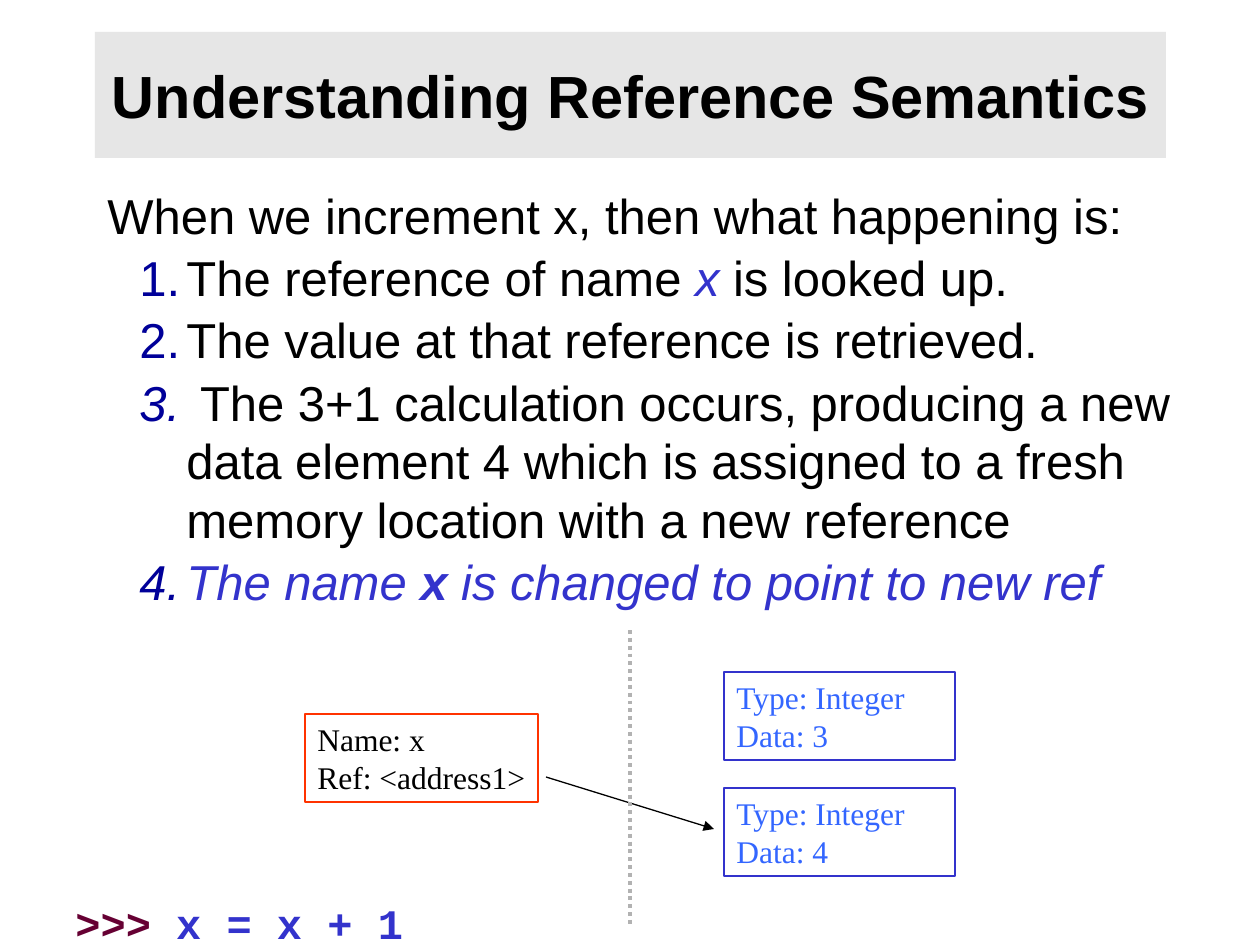
"""Builds the slide that explains what happens to references when x is incremented."""
from lxml.etree import SubElement
from pptx import Presentation
from pptx.dml.color import RGBColor
from pptx.enum.dml import MSO_LINE
from pptx.enum.shapes import MSO_CONNECTOR, MSO_SHAPE
from pptx.enum.text import MSO_ANCHOR, PP_ALIGN
from pptx.oxml.ns import qn
from pptx.util import Emu, Pt

SCALE = 914400 / 126
COLORS = {
    "banner": "E6E6E6",
    "text": "000000",
    "number": "000099",
    "accent": "3333CC",
    "object": "3366FF",
    "name": "FF3300",
    "divider": "B2B2B2",
    "prompt": "660033",
}


def px(*lengths):
    return [Emu(round(length * SCALE)) for length in lengths]


def add_run(para, text, font, size, color, bold=False, italic=False):
    span = para.add_run()
    span.text = text
    span.font.name = font
    span.font.size = Pt(size)
    span.font.bold = bold
    span.font.italic = italic
    span.font.color.rgb = RGBColor.from_string(COLORS[color])


deck = Presentation()
deck.slide_width, deck.slide_height = px(1260, 945)
page = deck.slides.add_slide(deck.slide_layouts[6])

banner = page.shapes.add_shape(MSO_SHAPE.RECTANGLE, *px(95, 32, 1071, 126))
banner.shadow.inherit = False
banner.fill.solid()
banner.fill.fore_color.rgb = RGBColor.from_string(COLORS["banner"])
banner.line.fill.background()
banner.text_frame.word_wrap = True
banner.text_frame.vertical_anchor = MSO_ANCHOR.MIDDLE
para = banner.text_frame.paragraphs[0]
para.alignment = PP_ALIGN.CENTER
add_run(para, "Understanding Reference Semantics", "Arial", 34, "text", bold=True)

steps = [
    [("The reference of name ", "text", False, False), ("x", "accent", False, True),
     (" is looked up.", "text", False, False)],
    [("The value at that reference is retrieved.", "text", False, False)],
    [(" ", "accent", False, True),
     ("The 3+1 calculation occurs, producing a new data element 4 which is assigned "
      "to a fresh memory location with a new reference", "text", False, False)],
    [("The name ", "accent", False, True), ("x", "accent", True, True),
     (" is changed to point to new ref", "accent", False, True)],
]
body = page.shapes.add_textbox(*px(95, 179, 1092, 440)).text_frame
body.word_wrap = True
para = body.paragraphs[0]
para.line_spacing = Pt(33.6)
add_run(para, "When we increment x, then what happening is:", "Arial", 28, "text")
indent, hanging = px(79, -47)
for step in steps:
    para = body.add_paragraph()
    para.line_spacing = Pt(33.6)
    para.space_before = Pt(2)
    props = para._p.get_or_add_pPr()
    props.set("marL", str(indent))
    props.set("indent", str(hanging))
    bullet_color = SubElement(props, qn("a:buClr"))
    SubElement(bullet_color, qn("a:srgbClr"), val=COLORS["number"])
    SubElement(props, qn("a:buFont"), typeface="Arial")
    SubElement(props, qn("a:buAutoNum"), type="arabicPeriod")
    for text, color, bold, italic in step:
        add_run(para, text, "Arial", 28, color, bold, italic)

memory_boxes = [
    (724, 672, 231, "accent", "object", True, ["Type: Integer", "Data: 3"]),
    (305, 714, 233, "name", "text", False, ["Name: x", "Ref: <address1>"]),
    (724, 788, 231, "accent", "object", True, ["Type: Integer", "Data: 4"]),
]
for left, top, width, outline, color, wrap, lines in memory_boxes:
    box = page.shapes.add_shape(MSO_SHAPE.RECTANGLE, *px(left, top, width, 88))
    box.shadow.inherit = False
    box.fill.background()
    box.line.color.rgb = RGBColor.from_string(COLORS[outline])
    box.line.width = Pt(0.75)
    frame = box.text_frame
    frame.word_wrap = wrap
    frame.vertical_anchor = MSO_ANCHOR.TOP
    for number, text in enumerate(lines):
        para = frame.add_paragraph() if number else frame.paragraphs[0]
        para.alignment = PP_ALIGN.LEFT
        para.line_spacing = Pt(21.6)
        add_run(para, text, "Times New Roman", 18, color)

connectors = [
    ((546, 777, 714, 829), "text", 0.75),
    ((630, 630, 630, 924), "divider", 2.25),
]
for ends, color, width in connectors:
    connector = page.shapes.add_connector(MSO_CONNECTOR.STRAIGHT, *px(*ends))
    connector.line.color.rgb = RGBColor.from_string(COLORS[color])
    connector.line.width = Pt(width)
    if color == "divider":
        connector.line.dash_style = MSO_LINE.ROUND_DOT
    else:
        SubElement(connector.line._get_or_add_ln(), qn("a:tailEnd"), type="triangle")
    SubElement(connector._element.spPr, qn("a:effectLst"))

command = page.shapes.add_textbox(*px(63, 891, 363, 54)).text_frame
command.word_wrap = True
para = command.paragraphs[0]
add_run(para, ">>> ", "Courier New", 24, "prompt", bold=True)
add_run(para, "x = x + 1", "Courier New", 24, "accent", bold=True)

deck.save("out.pptx")
